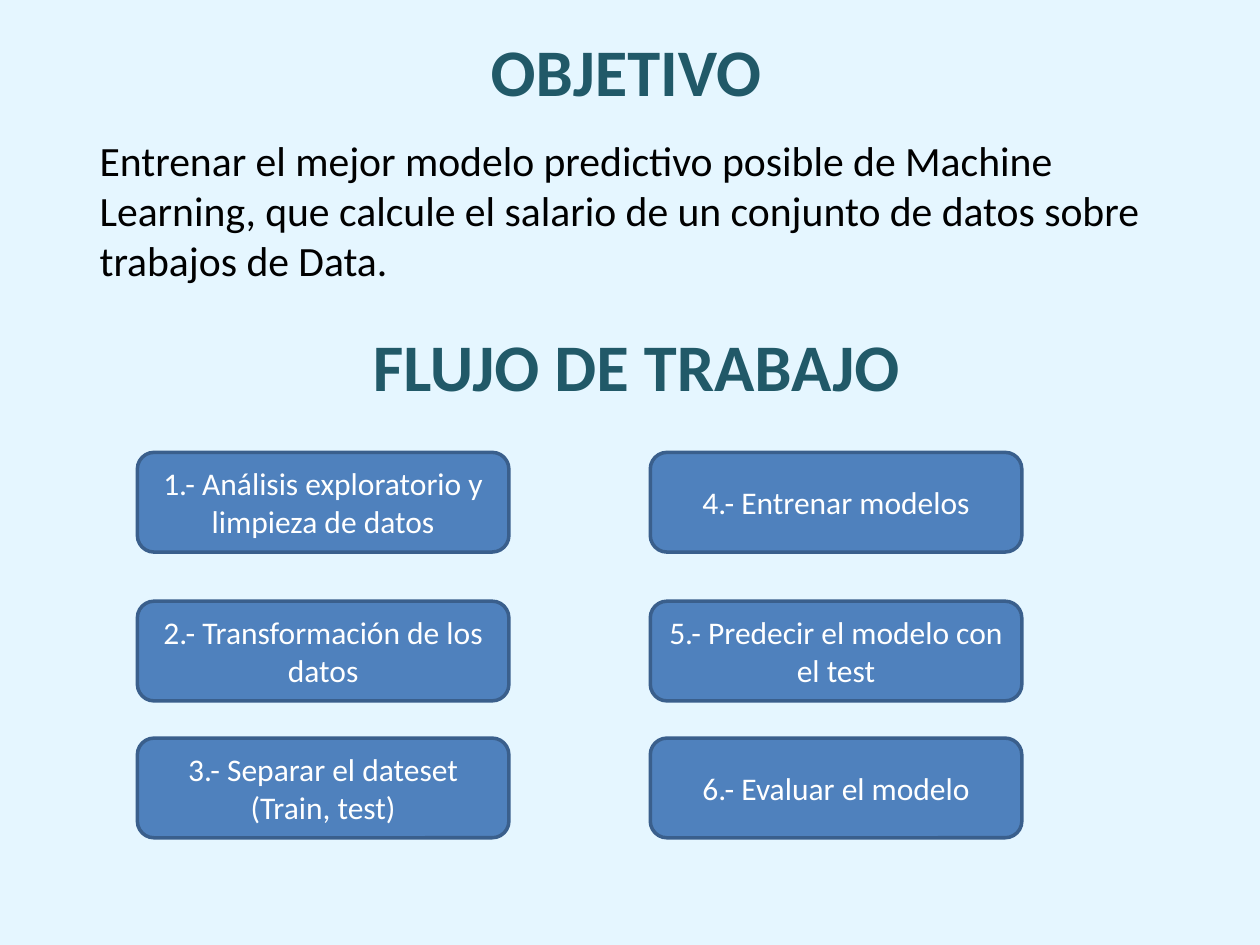
from pptx import Presentation
from pptx.dml.color import RGBColor
from pptx.enum.shapes import MSO_SHAPE
from pptx.enum.text import MSO_ANCHOR, PP_ALIGN
from pptx.util import Cm, Pt

HEADING = {"size": Pt(38), "bold": True, "color": "215968"}
BODY = {"size": Pt(23.8), "color": "000000"}
STEP = {"size": Pt(18), "color": "FFFFFF"}

STEPS = [
    ["1.- Análisis exploratorio y limpieza de datos",
     "2.- Transformación de los datos",
     "3.- Separar el dateset (Train, test)"],
    ["4.- Entrenar modelos",
     "5.- Predecir el modelo con el test",
     "6.- Evaluar el modelo"],
]
COLUMNS = [2.77, 13.11]
ROWS = [9.12, 12.12, 14.88]


def rgb(value):
    return RGBColor.from_string(value)


class Deck:
    font = "Calibri"
    background = "E5F6FF"
    box_fill = "4F81BD"
    box_line = "3A5F8C"

    def __init__(self, prs):
        self.s = prs.slides.add_slide(prs.slide_layouts[6])
        fill = self.s.background.fill
        fill.solid()
        fill.fore_color.rgb = rgb(self.background)

    def set_text(self, sp, text, style, align, anchor):
        tf = sp.text_frame
        tf.word_wrap = True
        tf.vertical_anchor = anchor
        p = tf.paragraphs[0]
        p.alignment = align
        r = p.add_run()
        r.text = text
        r.font.name = self.font
        for name, value in style.items():
            if name == "color":
                r.font.color.rgb = rgb(value)
            else:
                setattr(r.font, name, value)

    def heading(self, text, x, y):
        sp = self.s.shapes.add_textbox(Cm(x), Cm(y), Cm(22.86), Cm(2.82))
        self.set_text(sp, text, HEADING, PP_ALIGN.CENTER, MSO_ANCHOR.MIDDLE)

    def body(self, text, x, y, w, h):
        sp = self.s.shapes.add_textbox(Cm(x), Cm(y), Cm(w), Cm(h))
        sp.text_frame.margin_left = Cm(1.22)
        self.set_text(sp, text, BODY, PP_ALIGN.LEFT, MSO_ANCHOR.TOP)

    def step(self, text, x, y):
        sp = self.s.shapes.add_shape(
            MSO_SHAPE.ROUNDED_RECTANGLE, Cm(x), Cm(y), Cm(7.49), Cm(2.01))
        sp.shadow.inherit = False
        sp.fill.solid()
        sp.fill.fore_color.rgb = rgb(self.box_fill)
        sp.line.color.rgb = rgb(self.box_line)
        sp.line.width = Pt(2)
        self.set_text(sp, text, STEP, PP_ALIGN.CENTER, MSO_ANCHOR.MIDDLE)


def main():
    prs = Presentation()
    prs.slide_width, prs.slide_height = Cm(25.4), Cm(19.05)
    deck = Deck(prs)
    deck.heading("OBJETIVO", 1.19, 0)
    deck.body("Entrenar el mejor modelo predictivo posible de Machine Learning, "
              "que calcule el salario de un conjunto de datos sobre trabajos "
              "de Data.", 0.79, 2.59, 24, 2.97)
    deck.heading("FLUJO DE TRABAJO", 1.4, 5.94)
    for x, column in zip(COLUMNS, STEPS):
        for y, text in zip(ROWS, column):
            deck.step(text, x, y)
    prs.save("out.pptx")


if __name__ == "__main__":
    main()
